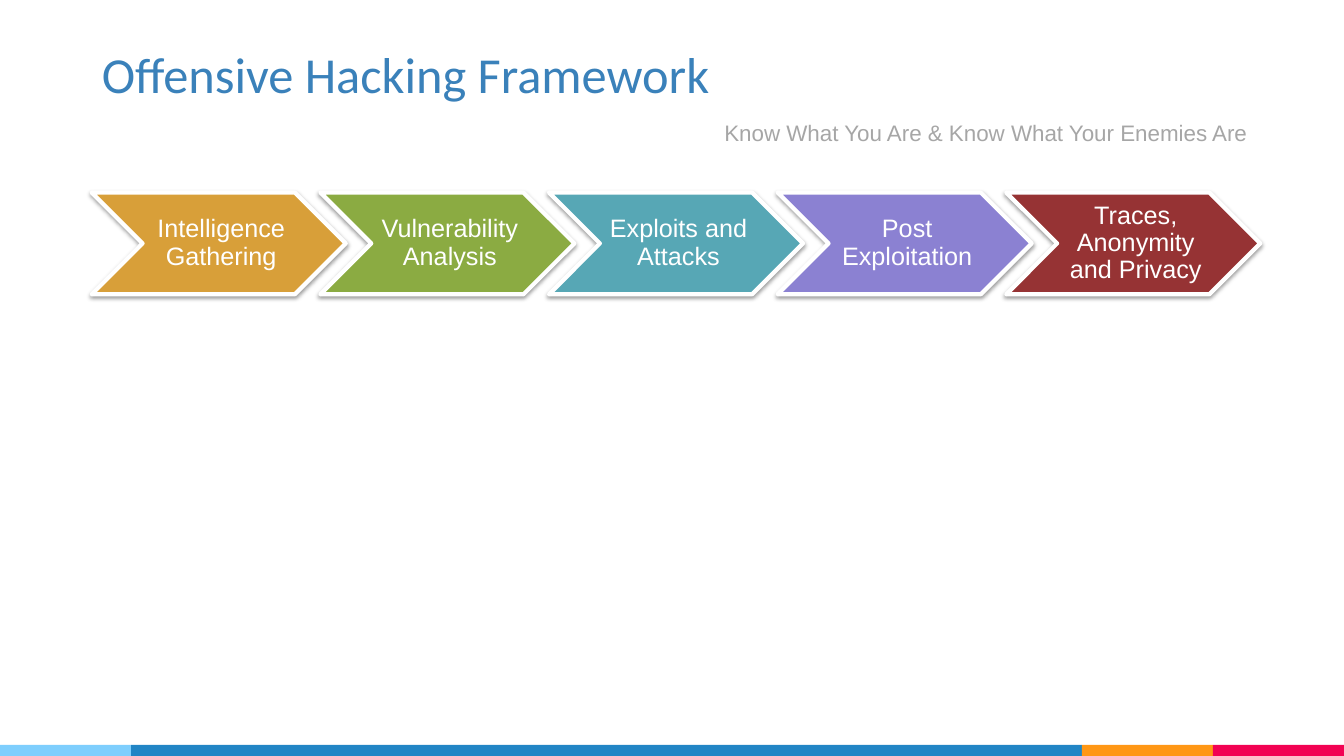
from dataclasses import dataclass

from lxml.etree import SubElement
from pptx import Presentation
from pptx.dml.color import RGBColor
from pptx.enum.shapes import MSO_SHAPE as Shape
from pptx.enum.text import MSO_ANCHOR as Anchor, MSO_AUTO_SIZE as AutoSize, PP_ALIGN as Align
from pptx.oxml.ns import qn
from pptx.util import Inches, Pt


@dataclass(frozen=True)
class Theme:
    title_font: str = "Calibri"
    body_font: str = "Arial"
    title_size: int = 36
    step_size: int = 18
    subtitle_size: int = 16
    title: str = "3A81BA"
    subtitle: str = "A6A6A6"
    white: str = "FFFFFF"
    shadow: str = "000000"
    strip: tuple = ("7ECEFD", "2185C5", "FF9715", "F20253")


THEME = Theme()
SLIDE_WIDTH, SLIDE_HEIGHT = 13.33, 7.5
STEPS = [
    ("Intelligence Gathering", "D89F39"),
    ("Vulnerability Analysis", "8BAB42"),
    ("Exploits and Attacks", "57A7B5"),
    ("Post Exploitation", "8B81D2"),
    ("Traces, Anonymity and Privacy", "963334"),
]


def write_text(shape, text, font, size, color, align, anchor, insets):
    """Insets are left, top, right and bottom in inches."""
    frame = shape.text_frame
    frame.text = text
    frame.word_wrap = True
    frame.auto_size = AutoSize.NONE
    frame.vertical_anchor = anchor
    frame.margin_left, frame.margin_top, frame.margin_right, frame.margin_bottom = map(Inches, insets)
    paragraph = frame.paragraphs[0]
    paragraph.alignment = align
    run_font = paragraph.runs[0].font
    run_font.name, run_font.size = font, Pt(size)
    run_font.color.rgb = RGBColor.from_string(color)
    return paragraph


def add_filled_shape(shapes, kind, box, color):
    shape = shapes.add_shape(kind, *map(Inches, box))
    shape.shadow.inherit = False
    shape.fill.solid()
    shape.fill.fore_color.rgb = RGBColor.from_string(color)
    shape.line.fill.background()
    return shape


def add_drop_shadow(shape):
    effects = shape.element.spPr.find(qn("a:effectLst"))
    shadow = SubElement(effects, qn("a:outerShdw"), blurRad=str(Pt(3.1)), dist=str(Pt(1.6)),
                        dir="5400000", rotWithShape="0")
    color = SubElement(shadow, qn("a:srgbClr"), val=THEME.shadow)
    SubElement(color, qn("a:alpha"), val="38000")


def add_footer_strip(slide, box):
    left, top, width, height = box
    end_width = 1.3
    widths = (end_width, width - 3 * end_width, end_width, end_width)
    for color, part_width in zip(THEME.strip, widths):
        add_filled_shape(slide.shapes, Shape.RECTANGLE, (left, top, part_width, height), color)
        left += part_width


def add_title(slide, box):
    title = slide.shapes.title
    title.left, title.top, title.width, title.height = map(Inches, box)
    write_text(title, "Offensive Hacking Framework", THEME.title_font, THEME.title_size,
               THEME.title, Align.LEFT, Anchor.TOP, (0.1, 0.05, 0.1, 0.05))


def add_subtitle(slide, box):
    subtitle = slide.shapes.add_textbox(*map(Inches, box))
    write_text(subtitle, "Know What You Are & Know What Your Enemies Are", THEME.body_font,
               THEME.subtitle_size, THEME.subtitle, Align.RIGHT, Anchor.TOP, (0.1,) * 4)


def add_process(slide, box):
    """Chevrons in a row, each overlapping the next by a tenth of its width."""
    left, top, width, height = box
    step_width = width / (1 + 0.9 * (len(STEPS) - 1))
    group = slide.shapes.add_group_shape()
    for index, (label, color) in enumerate(STEPS):
        step_box = (left + index * 0.9 * step_width, top, step_width, height)
        chevron = add_filled_shape(group.shapes, Shape.CHEVRON, step_box, color)
        chevron.line.color.rgb = RGBColor.from_string(THEME.white)
        chevron.line.width = Pt(3)
        add_drop_shadow(chevron)
        paragraph = write_text(chevron, label, THEME.body_font, THEME.step_size, THEME.white,
                               Align.CENTER, Anchor.MIDDLE, (0.08, 0.03, 0.03, 0.03))
        paragraph.line_spacing = 0.9


def main():
    presentation = Presentation()
    presentation.slide_width = Inches(SLIDE_WIDTH)
    presentation.slide_height = Inches(SLIDE_HEIGHT)
    title_only = presentation.slide_layouts[5]
    slide = presentation.slides.add_slide(title_only)
    add_footer_strip(slide, (0, 7.39, SLIDE_WIDTH, 0.11))
    add_process(slide, (0.91, 1.91, 11.59, 1.01))
    add_title(slide, (0.91, 0.38, 9.72, 0.71))
    add_subtitle(slide, (3.15, 1.08, 9.32, 0.78))
    presentation.save("out.pptx")


if __name__ == "__main__":
    main()
